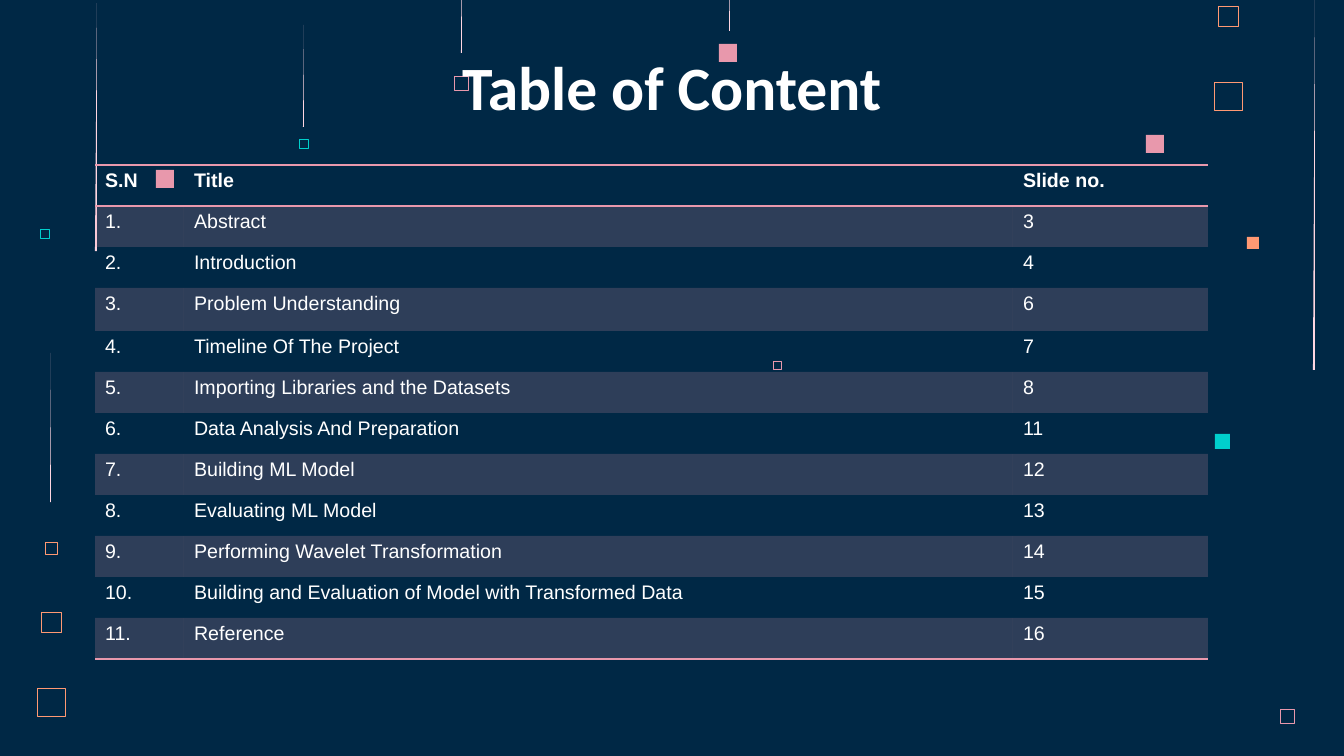
from dataclasses import dataclass

from lxml import etree
from pptx import Presentation
from pptx.dml.color import RGBColor
from pptx.enum.shapes import MSO_SHAPE
from pptx.enum.text import MSO_ANCHOR, MSO_AUTO_SIZE, PP_ALIGN
from pptx.oxml.ns import qn
from pptx.util import Emu, Pt

RECTANGLE = MSO_SHAPE.RECTANGLE
BOTTOM = MSO_ANCHOR.BOTTOM
CENTER = PP_ALIGN.CENTER
NO_AUTOFIT = MSO_AUTO_SIZE.NONE
TITLE_ONLY = 5
EMU_PER_PX = 914400 / 100.8
NO_STYLE_NO_GRID = "{2D5ABB26-0587-4C30-8999-92F81FD0307C}"


@dataclass(frozen=True)
class Theme:
    background: str = "002845"
    text: str = "FFFFFF"
    pink: str = "E898AC"
    teal: str = "00CFCC"
    orange: str = "FF9973"
    streak: str = "FFD6E1"
    band_alpha: int = 20
    title_font: str = "Calibri"
    table_font: str = "Arial"
    title_size: int = 44
    table_size: int = 14
    rule_width: int = 1


@dataclass(frozen=True)
class Square:
    left: int
    top: int
    size: int
    color: str
    filled: bool = False


@dataclass(frozen=True)
class Streak:
    """A sliver that widens from a point at the top to its foot."""
    left: int
    top: int
    height: int
    width: int = 1


THEME = Theme()

SQUARES = [
    Square(156, 170, 18, THEME.pink, True),
    Square(1146, 135, 18, THEME.pink, True),
    Square(719, 44, 18, THEME.pink, True),
    Square(773, 361, 8, THEME.pink),
    Square(1280, 709, 14, THEME.pink),
    Square(454, 76, 14, THEME.pink),
    Square(40, 229, 9, THEME.teal),
    Square(299, 139, 9, THEME.teal),
    Square(1215, 434, 15, THEME.teal, True),
    Square(1214, 82, 28, THEME.orange),
    Square(1218, 6, 20, THEME.orange),
    Square(1247, 237, 12, THEME.orange, True),
    Square(37, 688, 28, THEME.orange),
    Square(41, 612, 20, THEME.orange),
    Square(45, 542, 12, THEME.orange),
]

STREAKS = [
    Streak(461, -79, 132),
    Streak(729, -50, 81),
    Streak(50, 353, 149),
    Streak(1313, 0, 370, 2),
    Streak(95, 3, 248, 2),
    Streak(303, 25, 102),
]

TABLE_LEFT, TABLE_TOP = 95, 165
COLUMN_WIDTHS = [89, 829, 195]
ROW_HEIGHT = 41
TALL_ROW, TALL_ROW_HEIGHT = 3, 43
HEADER = ("S.N", "Title", "Slide no.")
TOPICS = [
    ("Abstract", 3),
    ("Introduction", 4),
    ("Problem Understanding", 6),
    ("Timeline Of The Project", 7),
    ("Importing Libraries and the Datasets", 8),
    ("Data Analysis And Preparation", 11),
    ("Building ML Model", 12),
    ("Evaluating ML Model", 13),
    ("Performing Wavelet Transformation", 14),
    ("Building and Evaluation of Model with Transformed Data", 15),
    ("Reference", 16),
]


def px(length: int) -> Emu:
    return Emu(round(length * EMU_PER_PX))


def rgb(color: str) -> RGBColor:
    return RGBColor.from_string(color)


def apply(target, values: dict) -> None:
    for name, value in values.items():
        setattr(target, name, value)


def format_run(r, font: str, size: int, bold: bool) -> None:
    apply(r.font, {"name": font, "size": Pt(size), "bold": bold})
    r.font.color.rgb = rgb(THEME.text)


def fill_solid(sp, color: str) -> None:
    sp.fill.solid()
    sp.fill.fore_color.rgb = rgb(color)


def add_square(s, square: Square) -> None:
    sp = s.shapes.add_shape(RECTANGLE, px(square.left), px(square.top),
                            px(square.size), px(square.size))
    sp.shadow.inherit = False
    if square.filled:
        fill_solid(sp, square.color)
        sp.line.fill.background()
    else:
        sp.fill.background()
        sp.line.color.rgb = rgb(square.color)
        sp.line.width = Pt(round(square.size * 0.016, 2))


def add_streak(s, streak: Streak) -> None:
    foot = streak.top + streak.height
    right = streak.left + streak.width
    builder = s.shapes.build_freeform(right, streak.top, EMU_PER_PX)
    builder.add_line_segments([(streak.left, foot), (right, foot)])
    sp = builder.convert_to_shape()
    sp.shadow.inherit = False
    fill_solid(sp, THEME.streak)
    sp.line.fill.background()


def add_rule(cell, side: str) -> None:
    """Draw the border named by side: lnT for the top, lnB for the bottom."""
    tc_pr = cell._tc.get_or_add_tcPr()
    ln = etree.SubElement(tc_pr, qn(f"a:{side}"), w=str(Pt(THEME.rule_width)))
    fill = etree.SubElement(ln, qn("a:solidFill"))
    etree.SubElement(fill, qn("a:srgbClr"), val=THEME.pink)


def fill_band(cell) -> None:
    fill_solid(cell, THEME.pink)
    color = next(cell._tc.tcPr.find(qn("a:solidFill")).iter(qn("a:srgbClr")))
    etree.SubElement(color, qn("a:alpha"), val=str(THEME.band_alpha * 1000))


def add_contents_table(s) -> None:
    rows = [HEADER] + [(f"{number}.", topic, str(page))
                       for number, (topic, page) in enumerate(TOPICS, 1)]
    heights = [ROW_HEIGHT] * len(rows)
    heights[TALL_ROW] = TALL_ROW_HEIGHT
    frame = s.shapes.add_table(len(rows), len(HEADER), px(TABLE_LEFT), px(TABLE_TOP),
                               px(sum(COLUMN_WIDTHS)), px(sum(heights)))
    table = frame.table
    apply(table, {"first_row": False, "horz_banding": False})
    next(frame.element.iter(qn("a:tableStyleId"))).text = NO_STYLE_NO_GRID
    for column, width in zip(table.columns, COLUMN_WIDTHS):
        column.width = px(width)
    for i, (row, height, texts) in enumerate(zip(table.rows, heights, rows)):
        row.height = px(height)
        for cell, text in zip(row.cells, texts):
            r = cell.text_frame.paragraphs[0].add_run()
            r.text = text
            format_run(r, THEME.table_font, THEME.table_size, i == 0)
            if i == 0:
                add_rule(cell, "lnT")
            if i in (0, len(rows) - 1):
                add_rule(cell, "lnB")
            if i % 2:
                fill_band(cell)
            else:
                cell.fill.background()


def place_title(s, text: str) -> None:
    title = s.shapes.title
    apply(title, {"left": 0, "top": 0, "width": px(1344), "height": px(133)})
    tf = title.text_frame
    apply(tf, {"word_wrap": True, "auto_size": NO_AUTOFIT, "vertical_anchor": BOTTOM})
    apply(tf, {f"margin_{side}": px(10) for side in ("left", "top", "right", "bottom")})
    p = tf.paragraphs[0]
    apply(p, {"alignment": CENTER, "line_spacing": 1.07, "space_after": Pt(8)})
    r = p.add_run()
    r.text = text
    format_run(r, THEME.title_font, THEME.title_size, True)
    title.element.getparent().append(title.element)


def main() -> None:
    prs = Presentation()
    apply(prs, {"slide_width": px(1344), "slide_height": px(756)})
    s = prs.slides.add_slide(prs.slide_layouts[TITLE_ONLY])
    fill_solid(s.background, THEME.background)
    for square in SQUARES:
        add_square(s, square)
    for streak in STREAKS:
        add_streak(s, streak)
    add_contents_table(s)
    place_title(s, "Table of Content")
    prs.save("out.pptx")


if __name__ == "__main__":
    main()
